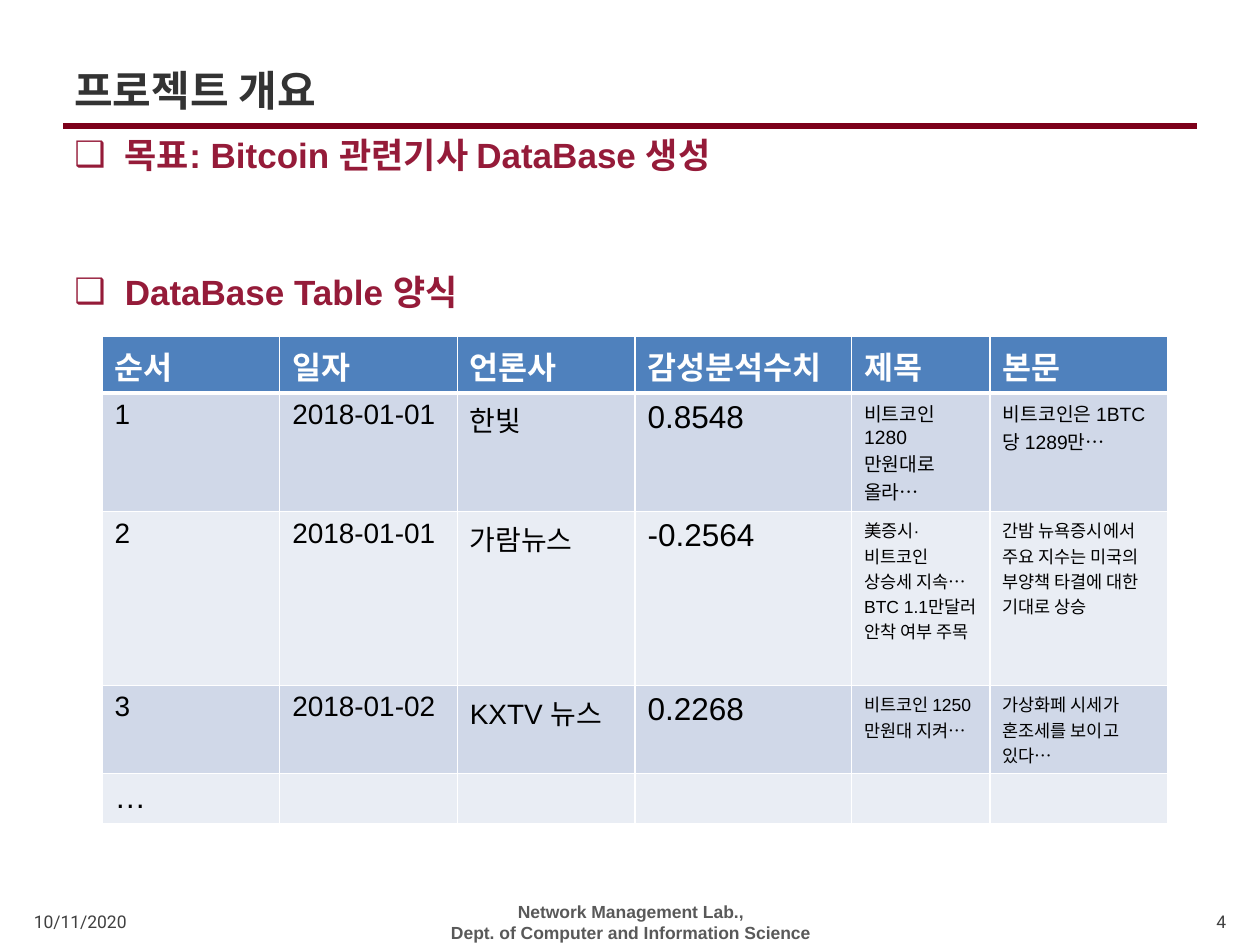
from lxml import etree
from pptx import Presentation
from pptx import util as u
from pptx.dml.color import RGBColor
from pptx.enum import shapes, text
from pptx.oxml.ns import qn

COLORS = {
    "title": "333333", "heading": "951B39", "rule": "7C001A",
    "muted": "404040", "lab": "595959", "white": "FFFFFF", "black": "000000",
    "header": "4F81BD", "odd": "D0D8E8", "even": "E9EDF4",
}
TITLE = "프로젝트 개요"
# heading, space before in points
HEADINGS = [("목표: Bitcoin 관련기사 DataBase 생성", 4), ("DataBase Table 양식", 54)]
# lines, (left, top, width, height), alignment, font, colour, bold
FOOTERS = [
    (["10/11/2020"], (0.17, 7.19, 1.15, 0.25), "LEFT", "Roboto", "muted", False),
    (["4"], (9.27, 7.19, 0.56, 0.25), "RIGHT", "Roboto", "muted", False),
    (["Network Management Lab.,", "Dept. of Computer and Information Science"],
     (2.37, 7.19, 5.27, 0.25), "CENTER", "Arial", "lab", True),
]
ROWS = [
    ["순서", "일자", "언론사", "감성분석수치", "제목", "본문"],
    ["1", "2018-01-01", "한빛", "0.8548",
     "비트코인 1280만원대로 올라…", "비트코인은 1BTC당 1289만…"],
    ["2", "2018-01-01", "가람뉴스", "-0.2564",
     "美증시·비트코인 상승세 지속…BTC 1.1만달러 안착 여부 주목",
     "간밤 뉴욕증시에서 주요 지수는 미국의 부양책 타결에 대한 기대로 상승"],
    ["3", "2018-01-02", "KXTV 뉴스", "0.2268",
     "비트코인 1250만원대 지켜…", "가상화페 시세가 혼조세를 보이고 있다…"],
    ["…", "", "", "", "", ""],
]
COLUMN_WIDTHS = [1.41, 1.41, 1.41, 1.72, 1.1, 1.41]
ROW_HEIGHTS = [0.45, 0.94, 1.38, 0.7, 0.4]
ROW_SIZES = [
    [18] * 6,
    [16, 16, 16, 18, 11, 11],
    [16, 16, 16, 18, 10, 10],
    [16, 16, 16, 18, 10, 10],
    [18] * 6,
]


def color(name):
    return RGBColor.from_string(COLORS[name])


def apply(target, values):
    for name, value in values.items():
        setattr(target, name, value)


def style(font, size, color_name, bold=False, name="Arial"):
    apply(font, {"size": u.Pt(size), "bold": bold, "name": name})
    font.color.rgb = color(color_name)


def place(shape, *lengths):
    apply(shape, dict(zip(("left", "top", "width", "height"), map(u.Inches, lengths))))


def add_bullet(para):
    properties = para._p.get_or_add_pPr()
    properties.set("marL", str(u.Inches(0.4)))
    properties.set("indent", str(u.Inches(-0.4)))
    bullet_color = etree.SubElement(properties, qn("a:buClr"))
    etree.SubElement(bullet_color, qn("a:srgbClr"), val=COLORS["heading"])
    etree.SubElement(properties, qn("a:buFont"), typeface="Arial")
    etree.SubElement(properties, qn("a:buChar"), char="❑")


def add_border(cell, side, points):
    line = etree.Element(qn(f"a:ln{side}"), w=str(u.Pt(points)))
    fill = etree.SubElement(line, qn("a:solidFill"))
    etree.SubElement(fill, qn("a:srgbClr"), val=COLORS["white"])
    return line


def format_cell(cell, content, size, row):
    cell.fill.solid()
    cell.fill.fore_color.rgb = color("header" if row == 0 else "odd" if row % 2 else "even")
    edges = {"L": 1, "R": 1, "T": 3 if row == 1 else 1, "B": 3 if row == 0 else 1}
    properties = cell._tc.get_or_add_tcPr()
    for index, (side, points) in enumerate(edges.items()):
        properties.insert(index, add_border(cell, side, points))
    para = cell.text_frame.paragraphs[0]
    if content:
        span = para.add_run()
        span.text = content
        style(span.font, size, "white" if row == 0 else "black", row == 0)
    else:
        para.font.size = u.Pt(size)


def add_headings(page):
    title, body = page.shapes.title, page.placeholders[1]
    place(title, 0.49, 0.44, 9.01, 0.55)
    title.text_frame.text = TITLE
    apply(title.text_frame, {"vertical_anchor": text.MSO_ANCHOR.MIDDLE,
                             "auto_size": text.MSO_AUTO_SIZE.NONE})
    para = title.text_frame.paragraphs[0]
    para.alignment = text.PP_ALIGN.LEFT
    style(para.runs[0].font, 24, "title", True)

    place(body, 0.49, 1.01, 9, 6.16)
    body.text_frame.auto_size = text.MSO_AUTO_SIZE.NONE
    body.text_frame.text = "\n".join(heading for heading, _ in HEADINGS)
    for para, (_, space) in zip(body.text_frame.paragraphs, HEADINGS):
        para.space_before = u.Pt(space)
        add_bullet(para)
        style(para.runs[0].font, 20, "heading", True)


def add_rule(page):
    start, end, height = u.Inches(0.5), u.Inches(9.5), u.Inches(1)
    rule = page.shapes.add_connector(shapes.MSO_CONNECTOR.STRAIGHT, start, height, end, height)
    rule.line.width = u.Pt(3)
    rule.line.color.rgb = color("rule")
    etree.SubElement(rule._element.spPr, qn("a:effectLst"))


def add_footer(page, lines, area, alignment, font, color_name, bold):
    box = page.shapes.add_textbox(*map(u.Inches, area))
    apply(box.text_frame, {"word_wrap": True, "vertical_anchor": text.MSO_ANCHOR.MIDDLE})
    para = box.text_frame.paragraphs[0]
    para.alignment = getattr(text.PP_ALIGN, alignment)
    for index, line in enumerate(lines):
        if index:
            para.add_line_break()
        span = para.add_run()
        span.text = line
        style(span.font, 10, color_name, bold, font)


def add_articles(page):
    table = page.shapes.add_table(
        len(ROWS), len(COLUMN_WIDTHS), u.Inches(0.81), u.Inches(2.67),
        u.Inches(sum(COLUMN_WIDTHS)), u.Inches(sum(ROW_HEIGHTS))).table
    for column, width in zip(table.columns, COLUMN_WIDTHS):
        column.width = u.Inches(width)
    for row, (contents, sizes) in enumerate(zip(ROWS, ROW_SIZES)):
        table.rows[row].height = u.Inches(ROW_HEIGHTS[row])
        for column, (content, size) in enumerate(zip(contents, sizes)):
            format_cell(table.cell(row, column), content, size, row)


def main():
    deck = Presentation()
    apply(deck, {"slide_width": u.Inches(10), "slide_height": u.Inches(7.5)})
    page = deck.slides.add_slide(deck.slide_layouts[1])
    add_rule(page)
    add_headings(page)
    for footer in FOOTERS:
        add_footer(page, *footer)
    add_articles(page)
    deck.save("out.pptx")


if __name__ == "__main__":
    main()
